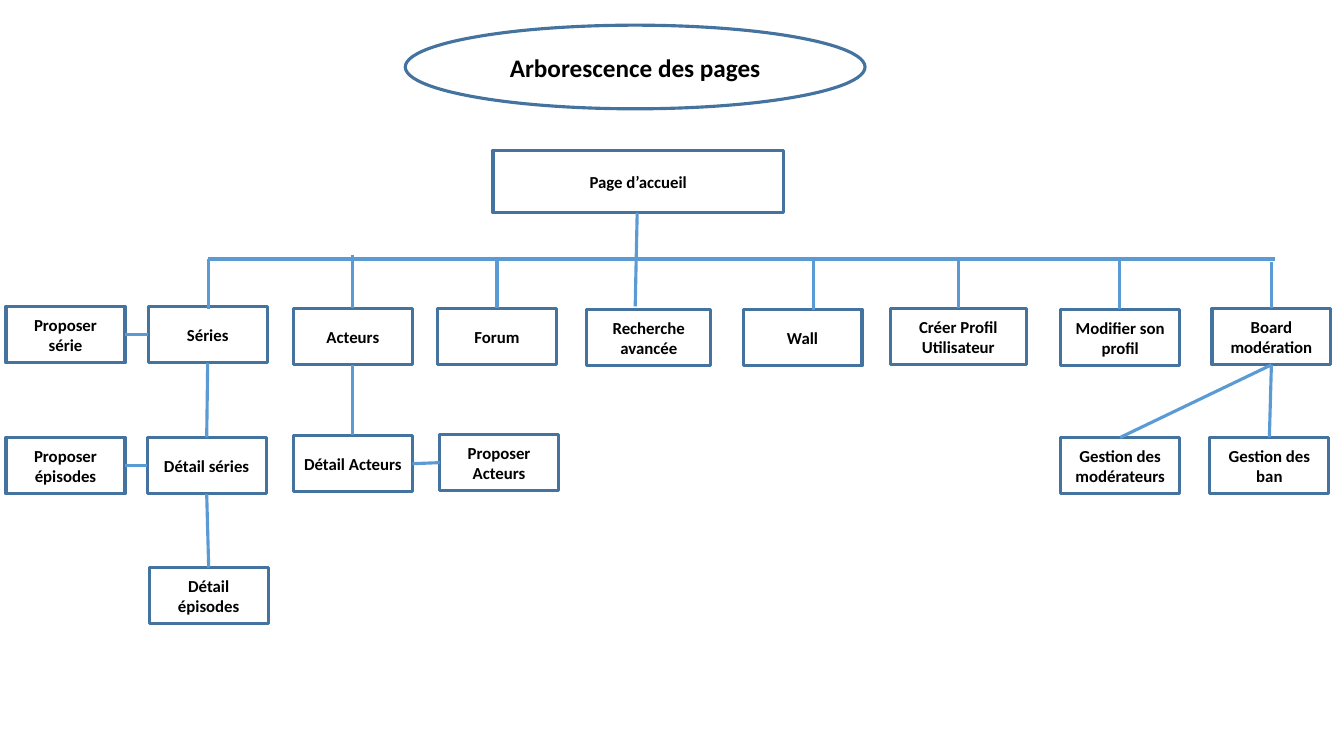
from lxml import etree
from pptx import Presentation
from pptx import util as u
from pptx.dml.color import RGBColor
from pptx.enum import shapes, text
from pptx.oxml.ns import qn

WHITE, BLACK, BORDER, LINK = "FFFFFF", "000000", "43739E", "5B9BD5"
FONT = "Calibri"
STROKE = 2.25
BOX_WIDTH, BOX_HEIGHT = 1.18, 0.56
BAR_Y = 2.57
TOP, LEFT, BOTTOM, RIGHT = range(4)

PAGES = [
    ("Séries", 1.47, 3.04, BOX_WIDTH),
    ("Acteurs", 2.91, 3.06, BOX_WIDTH),
    ("Forum", 4.34, 3.06, BOX_WIDTH),
    ("Recherche\navancée", 5.82, 3.07, 1.23),
    ("Wall", 7.37, 3.07, BOX_WIDTH),
    ("Créer Profil\nUtilisateur", 8.83, 3.06, 1.35),
    ("Modifier son profil", 10.52, 3.07, BOX_WIDTH),
    ("Board modération", 12.02, 3.06, BOX_WIDTH),
    ("Proposer série", 0.06, 3.04, BOX_WIDTH),
    ("Proposer épisodes", 0.06, 4.34, BOX_WIDTH),
    ("Détail séries", 1.46, 4.34, BOX_WIDTH),
    ("Détail épisodes", 1.48, 5.63, BOX_WIDTH),
    ("Détail Acteurs", 2.91, 4.32, BOX_WIDTH),
    ("Proposer Acteurs", 4.36, 4.31, BOX_WIDTH),
    ("Gestion des modérateurs", 10.52, 4.34, BOX_WIDTH),
    ("Gestion des ban", 12, 4.34, BOX_WIDTH),
]
CHILDREN = [
    ("Séries", "Détail séries"),
    ("Détail séries", "Détail épisodes"),
    ("Acteurs", "Détail Acteurs"),
    ("Board modération", "Gestion des modérateurs"),
    ("Board modération", "Gestion des ban"),
]
NEIGHBOURS = [
    ("Proposer série", "Séries"),
    ("Proposer épisodes", "Détail séries"),
    ("Détail Acteurs", "Proposer Acteurs"),
]
DROPS = [(2.07, BAR_Y, 3.07), (3.5, 2.53, 3.06), (4.93, 2.56, 3.06), (8.07, 2.58, 3.08),
         (9.51, 2.55, 3.06), (11.1, 2.58, 3.07), (12.61, 2.6, 3.06)]


def colour(value):
    """Turn a hex string into a colour."""
    return RGBColor.from_string(value)


def add_box(page, label, left, top, width, height=BOX_HEIGHT, size=12,
            kind=shapes.MSO_SHAPE.RECTANGLE):
    """Add an outlined shape with a centred bold label."""
    box = page.shapes.add_shape(kind, *map(u.Inches, (left, top, width, height)))
    box.shadow.inherit = False
    box.fill.solid()
    box.fill.fore_color.rgb = colour(WHITE)
    box.line.color.rgb = colour(BORDER)
    box.line.width = u.Pt(STROKE)
    frame = box.text_frame
    frame.word_wrap = True
    frame.vertical_anchor = text.MSO_ANCHOR.MIDDLE
    for index, words in enumerate(label.split("\n")):
        para = frame.add_paragraph() if index else frame.paragraphs[0]
        para.alignment = text.PP_ALIGN.CENTER
        span = para.add_run()
        span.text = words
        span.font.name = FONT
        span.font.size = u.Pt(size)
        span.font.bold = True
        span.font.color.rgb = colour(BLACK)
    return box


def add_line(page, x1=0, y1=0, x2=0, y2=0):
    """Add a straight line between two points."""
    line = page.shapes.add_connector(
        shapes.MSO_CONNECTOR.STRAIGHT, *map(u.Inches, (x1, y1, x2, y2)))
    line.line.color.rgb = colour(LINK)
    line.line.width = u.Pt(STROKE)
    etree.SubElement(line._element.spPr, qn("a:effectLst"))
    return line


def link(page, start, start_side, end, end_side):
    """Join the given sides of two boxes with a glued line."""
    line = add_line(page)
    line.begin_connect(start, start_side)
    line.end_connect(end, end_side)


def main():
    """Build the page tree and save it."""
    deck = Presentation()
    deck.slide_width, deck.slide_height = u.Inches(13.33), u.Inches(7.5)
    page = deck.slides.add_slide(deck.slide_layouts[6])

    add_box(page, "Arborescence des pages", 4.02, 0.25, 4.56, 0.83, 18,
            shapes.MSO_SHAPE.OVAL)
    add_box(page, "Page d’accueil", 4.89, 1.49, 2.88, 0.62)
    boxes = {label: add_box(page, label, left, top, width)
             for label, left, top, width in PAGES}

    add_line(page, 6.32, 2.11, 6.3, 3.04)
    add_line(page, 2.06, BAR_Y, 9.51, BAR_Y)
    add_line(page, 9.51, BAR_Y, 12.65, BAR_Y)
    for x, top, bottom in DROPS:
        add_line(page, x, top, x, bottom)
    for parent, child in CHILDREN:
        link(page, boxes[parent], BOTTOM, boxes[child], TOP)
    for first, second in NEIGHBOURS:
        link(page, boxes[first], RIGHT, boxes[second], LEFT)

    deck.save("out.pptx")


main()
